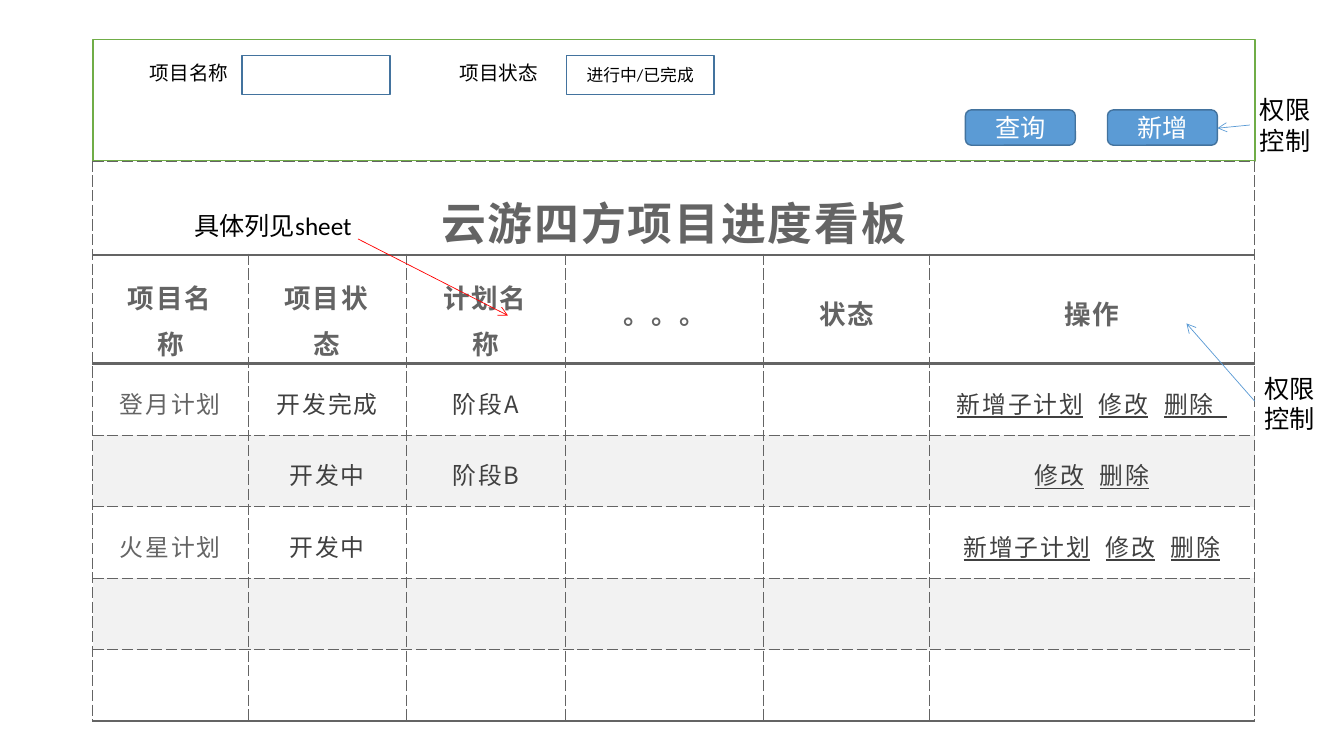
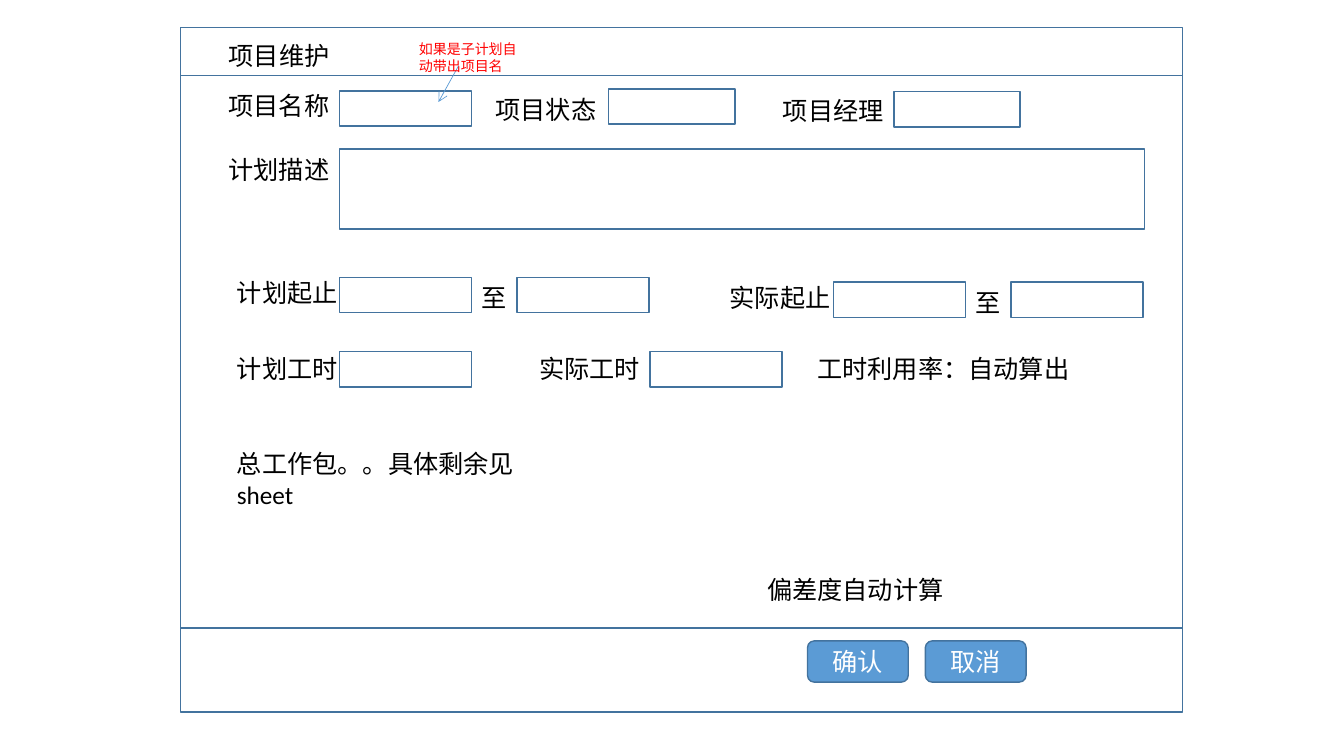
import pptx
import pptx.dml.color
import pptx.enum.dml
import pptx.enum.shapes
import pptx.enum.text
import pptx.oxml
import pptx.oxml.ns
import pptx.util
from lxml import etree

Cm = pptx.util.Cm
Pt = pptx.util.Pt
qn = pptx.oxml.ns.qn
SHAPE = pptx.enum.shapes.MSO_SHAPE
ALIGN = pptx.enum.text.PP_ALIGN
ANCHOR = pptx.enum.text.MSO_ANCHOR

BLUE, EDGE, GREEN, RED = "5B9BD5", "43739E", "70AD47", "FF0000"
BLACK, WHITE, GRAY, DARK, BAND = "000000", "FFFFFF", "646464", "404040", "F2F2F2"
BODY_FONT, TABLE_FONT = "Calibri", "Noto Sans CJK SC"
TITLE_ONLY, BLANK = 5, 6
GAP = "\u2002"


def rgb(value):
    """Return the colour for a hex string."""
    return pptx.dml.color.RGBColor.from_string(value)


def style(p, size, color, name=BODY_FONT, align=ALIGN.LEFT, bold=False, spacing=0):
    """Format a paragraph, East Asian font and letter spacing included."""
    p.alignment = align
    p.font.size, p.font.bold, p.font.name = Pt(size), bold, name
    p.font.color.rgb = rgb(color)
    props = p._p.pPr.find(qn("a:defRPr"))
    etree.SubElement(props, qn("a:ea"), typeface=name)
    if spacing:
        props.set("spc", str(round(spacing * 100)))


def add_border(cell, side, width, dash):
    """Draw one side (L, R, T or B) of a table cell."""
    ln = etree.SubElement(cell._tc.get_or_add_tcPr(), qn("a:ln" + side),
                          w=str(Pt(width)))
    fill = etree.SubElement(ln, qn("a:solidFill"))
    etree.SubElement(fill, qn("a:srgbClr"), val=GRAY)
    etree.SubElement(ln, qn("a:prstDash"), val=dash)


class Deck:
    """Hold the presentation, its style and the current slide."""

    def __init__(self):
        """Start a wide presentation."""
        self.prs = pptx.Presentation()
        self.prs.slide_width, self.prs.slide_height = Cm(33.87), Cm(19.05)
        self.slide = None

    def new_slide(self, layout):
        """Add a slide and make it current."""
        self.slide = self.prs.slides.add_slide(self.prs.slide_layouts[layout])

    def title(self, text, x, y, w, h):
        """Place and format the title placeholder."""
        sp = self.slide.shapes.title
        sp.left, sp.top, sp.width, sp.height = Cm(x), Cm(y), Cm(w), Cm(h)
        tf = sp.text_frame
        tf.text = text
        tf.vertical_anchor = ANCHOR.TOP
        tf.auto_size = pptx.enum.text.MSO_AUTO_SIZE.NONE
        style(tf.paragraphs[0], 18, BLACK)

    def box(self, x, y, w, h, text="", kind=SHAPE.RECTANGLE, fill=None,
            line=EDGE, size=12, color=BLACK):
        """Add an outlined shape, with centred text if any."""
        sp = self.slide.shapes.add_shape(kind, Cm(x), Cm(y), Cm(w), Cm(h))
        sp.shadow.inherit = False
        if fill:
            sp.fill.solid()
            sp.fill.fore_color.rgb = rgb(fill)
        else:
            sp.fill.background()
        sp.line.color.rgb = rgb(line)
        sp.line.width = Pt(1)
        if text:
            tf = sp.text_frame
            tf.text = text
            tf.vertical_anchor = ANCHOR.MIDDLE
            style(tf.paragraphs[0], size, color, align=ALIGN.CENTER)

    def button(self, text, x, y, w, h):
        """Add a blue rounded button."""
        self.box(x, y, w, h, text, SHAPE.ROUNDED_RECTANGLE, BLUE, size=18, color=WHITE)

    def text(self, text, x, y, w, h, size=18, color=BLACK, wrap=True):
        """Add a text box."""
        sp = self.slide.shapes.add_textbox(Cm(x), Cm(y), Cm(w), Cm(h))
        tf = sp.text_frame
        tf.word_wrap = wrap
        tf.text = text
        style(tf.paragraphs[0], size, color)

    def label(self, text, x, y):
        """Add a one-line form label as wide as its characters."""
        self.text(text, x, y, 0.51 + 0.635 * len(text), 1.02, wrap=False)

    def arrow(self, x1, y1, x2, y2, color=BLUE):
        """Add a thin line with an open arrowhead at its end."""
        cn = self.slide.shapes.add_connector(
            pptx.enum.shapes.MSO_CONNECTOR.STRAIGHT, Cm(x1), Cm(y1), Cm(x2), Cm(y2))
        cn.line.color.rgb = rgb(color)
        cn.line.width = Pt(0.5)
        etree.SubElement(cn.line._get_or_add_ln(), qn("a:tailEnd"), type="arrow")
        etree.SubElement(cn._element.spPr, qn("a:effectLst"))

    def cell(self, cell, content, fill, thick, **font):
        """Fill a cell; a list holds links, each underlined."""
        cell.margin_left = cell.margin_right = Cm(0.61)
        cell.margin_top = cell.margin_bottom = Cm(0.37)
        cell.vertical_anchor = ANCHOR.MIDDLE
        for side in "LRTB":
            width, dash = (2.25, "solid") if side in thick else (0.75, "sysDash")
            add_border(cell, side, width, dash)
        cell.fill.solid()
        cell.fill.fore_color.rgb = rgb(fill)
        if not content:
            return
        p = cell.text_frame.paragraphs[0]
        p.line_spacing = 1.2
        style(p, name=TABLE_FONT, align=ALIGN.CENTER, spacing=1.3, **font)
        if isinstance(content, str):
            p.add_run().text = content
            return
        for i, link in enumerate(content):
            if i:
                p.add_run().text = GAP
            r = p.add_run()
            r.text = link
            r.font.underline = True

    def table(self, x, y, widths, heights, rows):
        """Add the board: a merged title row, a header row and banded rows."""
        tbl = self.slide.shapes.add_table(
            len(rows), len(widths), Cm(x), Cm(y),
            Cm(sum(widths)), Cm(sum(heights))).table
        tbl.first_row = tbl.horz_banding = False
        for col, w in zip(tbl.columns, widths):
            col.width = Cm(w)
        for row, h in zip(tbl.rows, heights):
            row.height = Cm(h)
        tbl.cell(0, 0).merge(tbl.cell(0, len(widths) - 1))
        last = len(rows) - 1
        for i, row in enumerate(rows):
            thick = ("T" if i in (1, 2) else "") + ("B" if i in (0, 1, last) else "")
            fill = BAND if i > 2 and i % 2 else WHITE
            for j in range(len(widths)):
                self.cell(tbl.cell(i, j), row[j] if j < len(row) else "", fill, thick,
                          size={0: 32, 1: 19}.get(i, 17), bold=i < 2,
                          color=DARK if i > 1 and j else GRAY)


def board_slide(deck):
    """Build the project progress board."""
    deck.new_slide(BLANK)
    deck.box(2.34, 0.99, 29.29, 3.07, fill=WHITE, line=GREEN)
    for label, label_x, field_x, value in (("项目名称", 3.53, 6.1, ""),
                                           ("项目状态", 11.33, 14.27, "进行中/已完成")):
        deck.text(label, label_x, 1.4, 2.57, 0.86, size=14)
        deck.box(field_x, 1.4, 3.73, 0.99, value)
    for text, x in (("查询", 24.33), ("新增", 27.91)):
        deck.button(text, x, 2.77, 2.77, 0.89)
    links = ["新增子计划", "修改", "删除"]
    deck.table(2.34, 4.06, [3.91, 3.99, 4.01, 5, 4.17, 8.2],
               [2.16, 2.74] + [1.8] * 5, [
        ["云游四方项目进度看板"],
        ["项目名称", "项目状态", "计划名称", "。。。", "状态", "操作"],
        ["登月计划", "开发完成", "阶段A", "", "", links[:2] + [links[2] + GAP]],
        ["", "开发中", "阶段B", "", "", links[1:]],
        ["火星计划", "开发中", "", "", "", links],
        [],
        [],
    ])
    deck.arrow(9.02, 6.02, 12.8, 7.95, RED)
    deck.text("具体列见sheet", 4.65, 5.18, 4.7, 1.02)
    deck.arrow(31.5, 3.15, 30.68, 3.23)
    deck.arrow(31.62, 10.11, 29.9, 8.15)
    for x, y in ((31.5, 2.26), (31.62, 9.27)):
        deck.text("权限控制", x, y, 1.96, 1.8)


def form_slide(deck):
    """Build the project maintenance form."""
    deck.new_slide(TITLE_ONLY)
    deck.title("项目维护", 5.51, 0.89, 3.43, 1.02)
    deck.box(4.55, 0.69, 25.25, 17.25)
    deck.box(4.55, 1.91, 25.25, 13.92)
    for text, x, y in (
            ("项目名称", 5.51, 2.16), ("项目状态", 12.24, 2.24), ("项目经理", 19.48, 2.29),
            ("计划描述", 5.51, 3.76),
            ("计划起止", 5.72, 6.86), ("至", 11.89, 6.99),
            ("实际起止", 18.14, 6.99), ("至", 24.33, 7.11),
            ("计划工时", 5.72, 8.79), ("实际工时", 13.34, 8.79),
            ("工时利用率：自动算出", 20.35, 8.79), ("偏差度自动计算", 19.08, 14.35)):
        deck.label(text, x, y)
    for x, y, w in (
            (8.56, 2.29, 3.33), (15.34, 2.24, 3.18), (22.53, 2.31, 3.18),
            (8.56, 6.99, 3.33), (13.03, 6.99, 3.33),
            (21.01, 7.11, 3.33), (25.48, 7.11, 3.33),
            (8.56, 8.86, 3.33), (16.38, 8.86, 3.33)):
        deck.box(x, y, w, 0.89)
    deck.box(8.56, 3.76, 20.29, 2.01)
    deck.text("总工作包。。具体剩余见sheet", 5.72, 11.18, 7.9, 1.8)
    deck.arrow(11.56, 1.65, 11.05, 2.57)
    deck.text("如果是子计划自动带出项目名", 10.31, 0.89, 3.2, 1.12, size=10, color=RED)
    for text, x in (("确认", 20.35), ("取消", 23.32)):
        deck.button(text, x, 16.15, 2.54, 1.04)


deck = Deck()
board_slide(deck)
form_slide(deck)
deck.prs.save("out.pptx")
